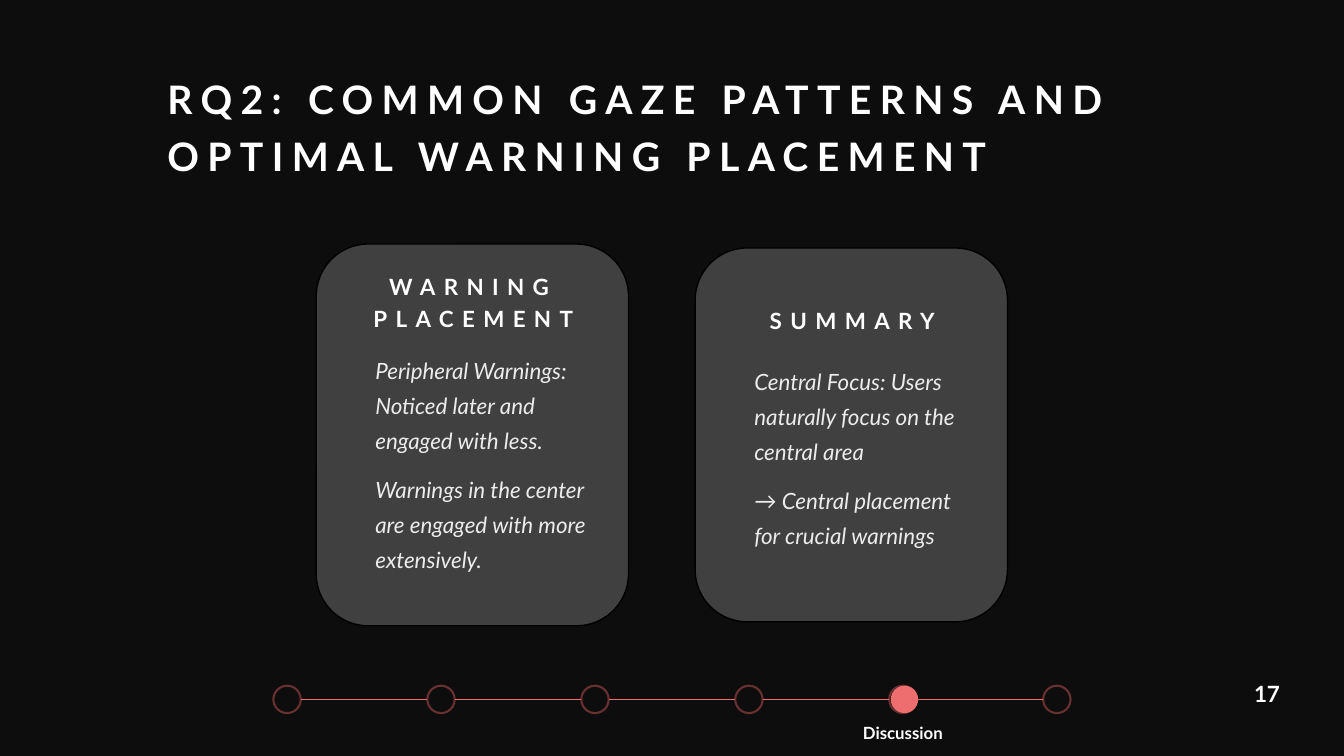
from lxml.etree import SubElement
from pptx import Presentation
from pptx.dml.color import RGBColor
from pptx.enum.shapes import MSO_CONNECTOR as LINE, MSO_SHAPE as SHAPE
from pptx.enum.text import MSO_ANCHOR as ANCHOR, PP_ALIGN as ALIGN
from pptx.oxml.ns import qn
from pptx.util import Cm, Pt

TITLE = "RQ2: COMMON GAZE PATTERNS AND OPTIMAL WARNING PLACEMENT"
PAGE = "17"
CARDS = [
    dict(heading="SUMMARY", left=17.52, top=6.25, height=9.42,
         heading_top=6.79, body_top=8.95,
         body=["Central Focus: Users naturally focus on the central area",
               "→ Central placement for crucial warnings"]),
    dict(heading="WARNING PLACEMENT", left=7.97, top=6.15, height=9.62,
         heading_top=6.75, body_top=8.67,
         body=["Peripheral Warnings: Noticed later and engaged with less.",
               "Warnings in the center are engaged with more extensively."]),
]
STAGE_COUNT = 6
CURRENT_STAGE = 4
CURRENT_LABEL = "Discussion"
COLORS = dict(background="0D0D0D", card="404040", edge="000000", white="FFFFFF",
              body="ECECEC", ring="683031", accent="EE6E6F")
FONT = "Lato"
CARD_WIDTH = 7.87
STAGE_LEFT, STAGE_TOP, STAGE_STEP, DOT = 6.89, 17.28, 3.88, 0.69


def color(name):
    return RGBColor.from_string(COLORS[name])


def add_text(slide, box, paragraphs, size, ink, bold=False, italic=False, align=ALIGN.LEFT,
             anchor=ANCHOR.TOP, line_spacing=None, gap=0, indent=0, tracking=0):
    frame = slide.shapes.add_textbox(*map(Cm, box)).text_frame
    frame.word_wrap = True
    frame.vertical_anchor = anchor
    for index, words in enumerate(paragraphs):
        paragraph = frame.add_paragraph() if index else frame.paragraphs[0]
        paragraph.alignment = align
        if line_spacing:
            paragraph.line_spacing = line_spacing
        if index:
            paragraph.space_before = Pt(gap)
        if indent:
            properties = paragraph._p.get_or_add_pPr()
            properties.set("marL", str(Cm(indent)))
            properties.set("indent", "0")
        run = paragraph.add_run()
        run.text = words
        run.font.name = FONT
        run.font.size = Pt(size)
        run.font.bold = bold
        run.font.italic = italic
        run.font.color.rgb = color(ink)
        if tracking:
            run._r.get_or_add_rPr().set("spc", str(tracking * 100))


def add_outline(slide, kind, box, fill=None, edge=None, weight=1):
    shape = slide.shapes.add_shape(kind, *map(Cm, box))
    shape.shadow.inherit = False
    if fill:
        shape.fill.solid()
        shape.fill.fore_color.rgb = color(fill)
    else:
        shape.fill.background()
    if edge:
        shape.line.color.rgb = color(edge)
        shape.line.width = Pt(weight)
    else:
        shape.line.fill.background()


def add_card(slide, card):
    left = card["left"]
    add_outline(slide, SHAPE.ROUNDED_RECTANGLE,
                (left, card["top"], CARD_WIDTH, card["height"]), "card", "edge")
    add_text(slide, (left + 0.05, card["heading_top"], 7.82, 1.74), [card["heading"]],
             16, "white", bold=True, align=ALIGN.CENTER, anchor=ANCHOR.BOTTOM,
             line_spacing=1.2, tracking=6)
    add_text(slide, (left + 0.73, card["body_top"], 6.71, 5), card["body"],
             16, "body", italic=True, line_spacing=1.3, gap=10, indent=0.51)


def add_progress(slide):
    middle = STAGE_TOP + DOT / 2
    for stage in range(STAGE_COUNT):
        left = STAGE_LEFT + stage * STAGE_STEP
        add_outline(slide, SHAPE.FLOWCHART_CONNECTOR, (left, STAGE_TOP, DOT, DOT),
                    edge="ring", weight=1.5)
        if stage == CURRENT_STAGE:
            add_outline(slide, SHAPE.FLOWCHART_CONNECTOR,
                        (left + 0.04, STAGE_TOP, DOT, DOT), "accent")
            add_text(slide, (left + (DOT - STAGE_STEP) / 2, 18.11, STAGE_STEP, 0.69),
                     [CURRENT_LABEL], 12, "white", bold=True,
                     align=ALIGN.CENTER, anchor=ANCHOR.MIDDLE)
        if stage:
            link = slide.shapes.add_connector(
                LINE.STRAIGHT, Cm(left - STAGE_STEP + DOT), Cm(middle), Cm(left), Cm(middle))
            link.line.color.rgb = color("accent")
            link.line.width = Pt(0.25)
            SubElement(link._element.spPr, qn("a:effectLst"))


def main():
    deck = Presentation()
    deck.slide_width, deck.slide_height = Cm(33.87), Cm(19.05)
    slide = deck.slides.add_slide(deck.slide_layouts[6])
    slide.background.fill.solid()
    slide.background.fill.fore_color.rgb = color("background")
    add_text(slide, (30.98, 16.87, 1.9, 1.19), [PAGE], 16, "white", bold=True,
             align=ALIGN.CENTER, anchor=ANCHOR.MIDDLE)
    add_text(slide, (3.97, 2.25, 25.65, 2.39), [TITLE], 28, "white", bold=True,
             anchor=ANCHOR.BOTTOM, line_spacing=1.2, tracking=6)
    add_progress(slide)
    for card in CARDS:
        add_card(slide, card)
    deck.save("out.pptx")


if __name__ == "__main__":
    main()
